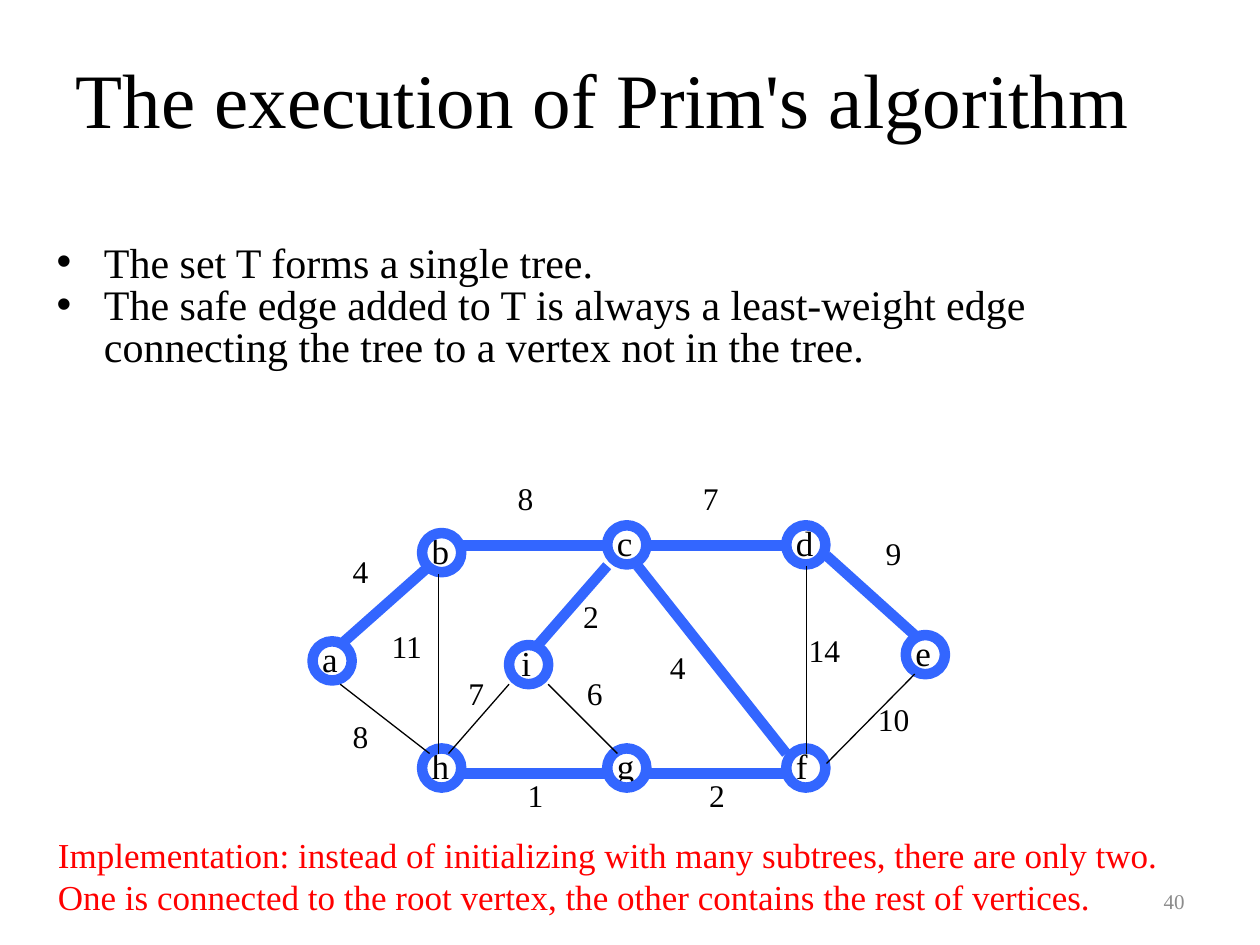
from dataclasses import dataclass

from lxml import etree
from pptx import Presentation
from pptx.dml.color import RGBColor
from pptx.enum.shapes import MSO_CONNECTOR, MSO_SHAPE
from pptx.enum.text import MSO_ANCHOR, MSO_AUTO_SIZE, PP_ALIGN
from pptx.oxml.ns import qn
from pptx.shapes.base import BaseShape
from pptx.slide import Slide
from pptx.text.text import TextFrame
from pptx.util import Pt

LEFT, RIGHT = PP_ALIGN.LEFT, PP_ALIGN.RIGHT
TOP, MIDDLE = MSO_ANCHOR.TOP, MSO_ANCHOR.MIDDLE
FIXED, GROW = MSO_AUTO_SIZE.NONE, MSO_AUTO_SIZE.SHAPE_TO_FIT_TEXT
ELLIPSE, STRAIGHT = MSO_SHAPE.OVAL, MSO_CONNECTOR.STRAIGHT


@dataclass(frozen=True)
class Theme:
    font: str = "Times New Roman"
    ink: RGBColor = RGBColor(0x00, 0x00, 0x00)
    tree: RGBColor = RGBColor(0x33, 0x66, 0xFF)
    remark: RGBColor = RGBColor(0xFF, 0x00, 0x00)
    muted: RGBColor = RGBColor(0x8C, 0x8C, 0x8C)
    title_size: float = 44
    body_size: float = 24
    vertex_size: float = 20
    weight_size: float = 18
    number_size: float = 12
    tree_line: float = 6
    plain_line: float = 0.75
    vertex_diameter: float = 22.4


@dataclass(frozen=True)
class Vertex:
    name: str
    x: float
    y: float
    label_width: float
    label_shift: float = -1.6


@dataclass(frozen=True)
class Edge:
    start: tuple[float, float]
    end: tuple[float, float]
    in_tree: bool
    weight: str
    weight_at: tuple[float, float]


THEME = Theme()

VERTICES = [
    Vertex("a", 178.6, 366.5, 23),
    Vertex("b", 241.2, 304.6, 24.5),
    Vertex("h", 241.2, 427.7, 24.5),
    Vertex("c", 347, 300.2, 23),
    Vertex("d", 449.3, 300.2, 24.5),
    Vertex("e", 517.6, 362.9, 23),
    Vertex("f", 449.3, 427.7, 21),
    Vertex("g", 347, 427.7, 24.5),
    Vertex("i", 290.9, 368.6, 20, 0),
]

EDGES = [
    Edge((194.4, 368.6), (245.5, 323.3), True, "4", (194.4, 311.8)),
    Edge((194.4, 391), (245.5, 430.6), False, "8", (194.4, 406)),
    Edge((250.6, 328.3), (250.6, 430.6), False, "11", (216.7, 355)),
    Edge((262.1, 311.8), (347, 311.8), True, "8", (288.7, 270)),
    Edge((262.1, 442.1), (347, 442.1), True, "1", (294.5, 440)),
    Edge((370.1, 442.1), (449.3, 442.1), True, "2", (398.2, 440)),
    Edge((364.3, 323.3), (449.3, 430.6), True, "4", (375.8, 366.5)),
    Edge((370.1, 311.8), (449.3, 311.8), True, "7", (394.6, 270)),
    Edge((460.8, 323.3), (460.8, 430.6), False, "14", (455, 357.1)),
    Edge((472.3, 317.5), (522.7, 362.9), True, "9", (499, 301.7)),
    Edge((472.3, 436.3), (522.7, 385.2), False, "10", (494.6, 396.7)),
    Edge((313.2, 391), (352.8, 430.6), False, "6", (328.3, 381.6)),
    Edge((256.3, 430.6), (290.9, 391), False, "7", (260.6, 381.6)),
    Edge((307.4, 368.6), (347, 323.3), True, "2", (326.2, 337.7)),
]


def place(shape: BaseShape, left: float, top: float, width: float, height: float) -> None:
    """Move and size a shape, in points."""
    shape.left, shape.top = Pt(left), Pt(top)
    shape.width, shape.height = Pt(width), Pt(height)


def write(frame: TextFrame, *lines: str, size: float, color: RGBColor = THEME.ink,
          align: PP_ALIGN = LEFT, anchor: MSO_ANCHOR = TOP, wrap: bool = True,
          fit: MSO_AUTO_SIZE = FIXED, spacing: float = 1.0, bullet: str = "",
          margin: float = 0, hanging: float = 0) -> None:
    """Fill a text frame with one paragraph for each line."""
    frame.text = "\n".join(lines)
    frame.word_wrap, frame.auto_size, frame.vertical_anchor = wrap, fit, anchor
    for paragraph in frame.paragraphs:
        paragraph.alignment, paragraph.line_spacing = align, spacing
        paragraph.space_before = Pt(0)
        if bullet:
            properties = paragraph._p.get_or_add_pPr()
            properties.set("marL", str(Pt(margin)))
            properties.set("indent", str(Pt(-hanging)))
            etree.SubElement(properties, qn("a:buChar")).set("char", bullet)
        for run in paragraph.runs:
            run.font.name, run.font.size = THEME.font, Pt(size)
            run.font.color.rgb = color


def add_label(slide: Slide, left: float, top: float, width: float, height: float) -> TextFrame:
    """Add a text box and return its frame."""
    return slide.shapes.add_textbox(Pt(left), Pt(top), Pt(width), Pt(height)).text_frame


def draw_vertex(slide: Slide, vertex: Vertex) -> None:
    """Draw a vertex name inside a ring."""
    label = add_label(slide, vertex.x + vertex.label_shift, vertex.y - 5.8, vertex.label_width, 31)
    write(label, vertex.name, size=THEME.vertex_size, wrap=False, fit=GROW)
    diameter = Pt(THEME.vertex_diameter)
    ring = slide.shapes.add_shape(ELLIPSE, Pt(vertex.x), Pt(vertex.y), diameter, diameter)
    ring.shadow.inherit = False
    ring.fill.background()
    ring.line.color.rgb = THEME.tree
    ring.line.width = Pt(THEME.tree_line)


def draw_edge(slide: Slide, edge: Edge) -> None:
    """Draw an edge, heavy when it belongs to the tree."""
    link = slide.shapes.add_connector(STRAIGHT, *map(Pt, edge.start + edge.end))
    link.line.color.rgb = THEME.tree if edge.in_tree else THEME.ink
    link.line.width = Pt(THEME.tree_line if edge.in_tree else THEME.plain_line)
    etree.SubElement(link._element.spPr, qn("a:effectLst"))


def draw_weight(slide: Slide, edge: Edge) -> None:
    """Write the weight of an edge beside it."""
    label = add_label(slide, *edge.weight_at, 17.6 + 9 * len(edge.weight), 36)
    write(label, edge.weight, size=THEME.weight_size, wrap=False, fit=GROW)


def main() -> None:
    """Build the slide and save it."""
    deck = Presentation()
    deck.slide_width, deck.slide_height = Pt(720), Pt(540)
    slide = deck.slides.add_slide(deck.slide_layouts[1])

    title, body = slide.shapes.title, slide.placeholders[1]
    place(title, 36, 21.6, 648, 90)
    title.text_frame.margin_top = Pt(8)
    write(title.text_frame, "The execution of Prim's algorithm", size=THEME.title_size)
    place(body, -10.8, 136, 704, 77)
    write(body.text_frame, "The set T forms a single tree.",
          "The safe edge added to T is always a least-weight edge connecting "
          "the tree to a vertex not in the tree.",
          size=THEME.body_size, spacing=0.84, bullet="•", margin=63, hanging=27)

    for vertex in VERTICES:
        draw_vertex(slide, vertex)
    for edge in EDGES:
        draw_edge(slide, edge)
    for edge in EDGES:
        draw_weight(slide, edge)

    write(add_label(slide, 26, 473, 652, 55.6),
          "Implementation: instead of initializing with many subtrees, there are only two. "
          "One is connected to the root vertex, the other contains the rest of vertices.",
          size=THEME.vertex_size, color=THEME.remark, fit=GROW)
    write(add_label(slide, 516, 500.5, 168, 28.8), "40", size=THEME.number_size,
          color=THEME.muted, align=RIGHT, anchor=MIDDLE)
    deck.save("out.pptx")


if __name__ == "__main__":
    main()
